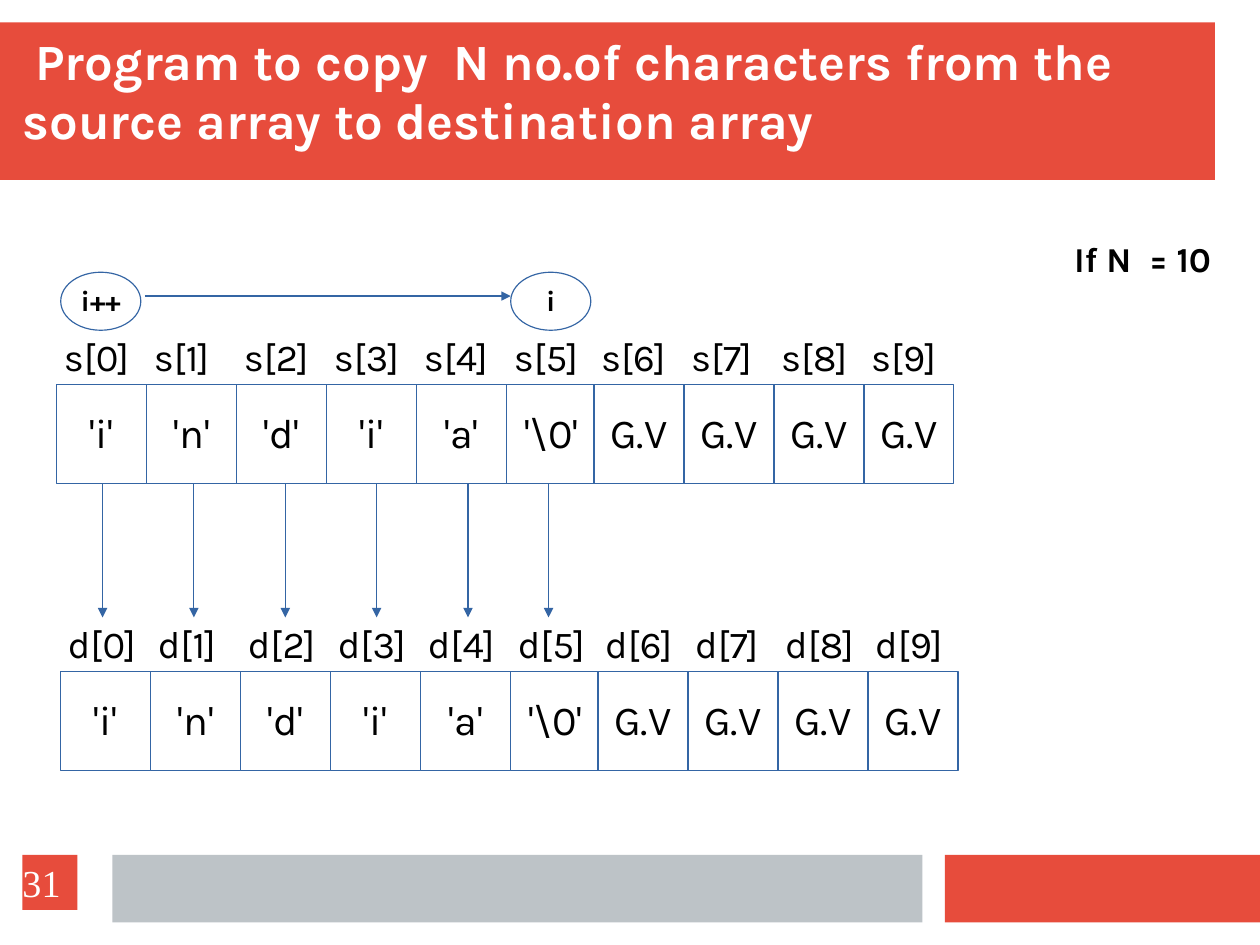
from pptx import Presentation, util as u
from pptx.dml.color import RGBColor
from pptx.enum import shapes as sh, text as tx
from pptx.oxml.ns import qn
from lxml import etree

RED = RGBColor(0xE7, 0x4C, 0x3C)
GREY = RGBColor(0xBD, 0xC3, 0xC7)
BLUE = RGBColor(0x34, 0x65, 0xA4)
WHITE = RGBColor(255, 255, 255)
BLACK = RGBColor(0, 0, 0)

WIDE, HIGH = 28, 21
STEP = WIDE / 14
CELL = 2.2
SPLIT = 6
NUDGE = 0.06
CHARS = ["'i'", "'n'", "'d'", "'i'", "'a'", "'\\0'"] + ["G.V"] * 4


def place(item, box):
    """Move an item to a box given in centimetres."""
    item.left, item.top, item.width, item.height = map(u.Cm, box)


def write(item, words, size, color=BLACK, bold=False, font="Karla",
          align=tx.PP_ALIGN.LEFT, anchor=tx.MSO_ANCHOR.TOP,
          inset=(0.1, 0.05), wrap=False, space=0.97):
    """Fill an item with one formatted paragraph."""
    frame = item.text_frame
    frame.auto_size = tx.MSO_AUTO_SIZE.NONE
    frame.word_wrap = wrap
    frame.vertical_anchor = anchor
    frame.margin_left = frame.margin_right = u.Inches(inset[0])
    frame.margin_top = frame.margin_bottom = u.Inches(inset[1])
    para = frame.paragraphs[0]
    para.text = words
    para.alignment = align
    para.line_spacing = space
    para.font.size = u.Pt(size)
    para.font.name = font
    para.font.bold = bold
    para.font.color.rgb = color


def block(slide, box, fill, line=None, kind=sh.MSO_SHAPE.RECTANGLE):
    """Draw a filled shape with an optional outline."""
    item = slide.shapes.add_shape(kind, *map(u.Cm, box))
    item.shadow.inherit = False
    item.fill.solid()
    item.fill.fore_color.rgb = fill
    if line is None:
        item.line.fill.background()
    else:
        item.line.color.rgb = line
        item.line.width = u.Pt(0.75)
    return item


def node(slide, box, words, size, **look):
    """Draw a blue-edged shape with centred text."""
    bold = look.pop("bold", False)
    item = block(slide, box, WHITE, BLUE, **look)
    write(item, words, size, bold=bold, align=tx.PP_ALIGN.CENTER,
          anchor=tx.MSO_ANCHOR.MIDDLE)


def label(slide, box, words, size, bold=False):
    """Add a plain text label."""
    write(slide.shapes.add_textbox(*map(u.Cm, box)), words, size, bold=bold)


def arrow(slide, *ends):
    """Draw a straight arrow between two points."""
    line = slide.shapes.add_connector(sh.MSO_CONNECTOR.STRAIGHT,
                                      *map(u.Cm, ends))
    line.line.color.rgb = BLUE
    line.line.width = u.Pt(0.75)
    etree.SubElement(line.line._get_or_add_ln(), qn("a:tailEnd"),
                     type="triangle")
    etree.SubElement(line.element.spPr, qn("a:effectLst"))


def header(slide, box, words):
    """Draw the title band and set the title over it."""
    left, top, wide, high = box
    block(slide, box, RED)
    title = slide.shapes.title
    slide.shapes.element.append(title.element)
    place(title, (left + 0.5, top - 1.08, wide - 0.84, high + 0.44))
    write(title, words, 32, WHITE, True, anchor=tx.MSO_ANCHOR.BOTTOM,
          inset=(0, 0), wrap=True)


def footer(slide, box, number):
    """Draw the page number and the two bottom bars."""
    left, top, wide, high = box
    block(slide, (left + wide * 0.75, top, wide * 0.25, high), RED)
    block(slide, (left + 2.5, top, 18, high), GREY)
    page = block(slide, (left + 0.5, top, 1.22, 1.22), RED)
    write(page, number, 24, WHITE, font="Times New Roman", inset=(0, 0),
          anchor=tx.MSO_ANCHOR.MIDDLE, wrap=True, space=1.0)


def array(slide, box, name):
    """Draw a row of character cells with index labels above."""
    left, top, wide, high = box
    for i, char in enumerate(CHARS):
        x = left + i * wide / len(CHARS) - (NUDGE if i >= SPLIT else 0)
        node(slide, (x, top, wide / len(CHARS), high), char, 26)
        label(slide, (x - 0.09, top - 1.2, 2.13, 1.27), f"{name}[{i}]", 24)


def counter(slide, box):
    """Draw the index bubbles and the arrow between them."""
    left, top, wide, high = box
    bubble = 1.78
    end = left + wide - bubble
    for x, words in ((left, "i++"), (end, "i")):
        node(slide, (x, top, bubble, high), words, 18, bold=True,
             kind=sh.MSO_SHAPE.OVAL)
    y = top + 0.41 * high
    arrow(slide, left + 1.87, y, end, y)


def copies(slide, box):
    """Draw the downward arrows, the last one set closer."""
    left, top, wide, high = box
    gap = 2.03
    for i in range(SPLIT):
        x = min(left + i * gap, left + wide)
        arrow(slide, x, top, x, top + high)


def main():
    """Build the slide."""
    deck = Presentation()
    deck.slide_width, deck.slide_height = u.Cm(WIDE), u.Cm(HIGH)
    slide = deck.slides.add_slide(deck.slide_layouts[5])
    header(slide, (0, 0.5, 27, 3.5),
           " Program to copy  N no.of characters from the source array"
           " to destination array")
    row = STEP * len(CHARS)
    array(slide, (1.26, 8.55, row, CELL), "s")
    counter(slide, (1.35, 6.05, 11.78, 1.29))
    array(slide, (1.35, 14.93, row, CELL), "d")
    copies(slide, (2.28, 10.75, 9.91, 2.97))
    label(slide, (23.62, 5.21, 3.99, 1.14), "If N  = 10", 22, True)
    footer(slide, (0, 19, WIDE, 1.5), "31")
    deck.save("out.pptx")


if __name__ == "__main__":
    main()
